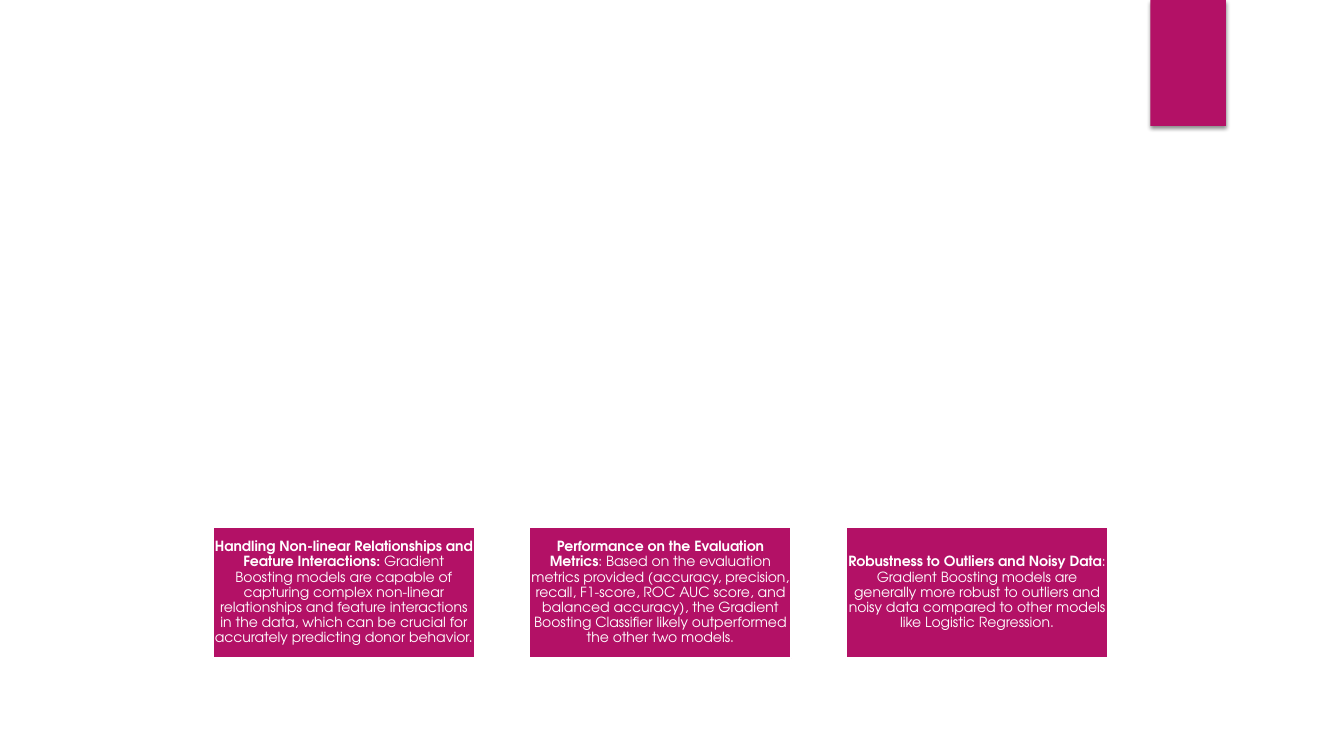
import pptx
import pptx.dml.color
import pptx.enum.shapes
import pptx.enum.text
import pptx.oxml
import pptx.oxml.ns
import pptx.util
from pptx.util import Inches, Pt

# Content: bold lead, then explanation
REASONS = [
    ("Handling Non-linear Relationships and Feature Interactions: ",
     "Gradient Boosting models are capable of capturing complex non-linear "
     "relationships and feature interactions in the data, which can be crucial "
     "for accurately predicting donor behavior."),
    ("Performance on the Evaluation Metrics",
     ": Based on the evaluation metrics provided (accuracy, precision, recall, "
     "F1-score, ROC AUC score, and balanced accuracy), the Gradient Boosting "
     "Classifier likely outperformed the other two models."),
    ("Robustness to Outliers and Noisy Data",
     ": Gradient Boosting models are generally more robust to outliers and noisy "
     "data compared to other models like Logistic Regression."),
]

THEME = {
    "accent": pptx.dml.color.RGBColor.from_string("B31166"),
    "light": pptx.dml.color.RGBColor.from_string("FFFFFF"),
    "font": "TeX Gyre Adventor",
    "size": Pt(10),
    "space_after": Pt(3.5),
    "outline": Pt(1.5),
}

# Layout in inches
ROW_LEFT, ROW_TOP = 2.11, 5.23
BOX_WIDTH, BOX_HEIGHT, BOX_GAP = 2.6, 1.3, 0.54
TAB = (11.41, 0, 0.75, 1.25)

FRAME_FORMAT = {
    "word_wrap": True,
    "vertical_anchor": pptx.enum.text.MSO_ANCHOR.MIDDLE,
    **{f"margin_{side}": Inches(0.01) for side in ("left", "top", "right", "bottom")},
}
PARA_FORMAT = {
    "alignment": pptx.enum.text.PP_ALIGN.CENTER,
    "line_spacing": 0.9,
    "space_after": THEME["space_after"],
}
FONT_FORMAT = {"name": THEME["font"], "size": THEME["size"]}

SHADOW_XML = (
    f'<a:effectLst {pptx.oxml.ns.nsdecls("a")}>'
    f'<a:outerShdw blurRad="{Pt(3)}" dist="{Pt(2)}" dir="5400000" rotWithShape="0">'
    '<a:srgbClr val="000000"><a:alpha val="45000"/></a:srgbClr>'
    '</a:outerShdw></a:effectLst>'
)


def apply_format(target, values):
    for name, value in values.items():
        setattr(target, name, value)


def add_block(page, left, top, width, height):
    block = page.shapes.add_shape(
        pptx.enum.shapes.MSO_SHAPE.RECTANGLE,
        Inches(left), Inches(top), Inches(width), Inches(height))
    block.shadow.inherit = False
    block.fill.solid()
    block.fill.fore_color.rgb = THEME["accent"]
    block.line.fill.background()
    return block


def add_corner_tab(page):
    tab = add_block(page, *TAB)
    properties = tab.element.spPr
    properties.remove(properties.find(pptx.oxml.ns.qn("a:effectLst")))
    properties.append(pptx.oxml.parse_xml(SHADOW_XML))


def add_reason(page, index, reason):
    left = ROW_LEFT + index * (BOX_WIDTH + BOX_GAP)
    box = add_block(page, left, ROW_TOP, BOX_WIDTH, BOX_HEIGHT)
    box.line.color.rgb = THEME["light"]
    box.line.width = THEME["outline"]
    apply_format(box.text_frame, FRAME_FORMAT)
    para = box.text_frame.paragraphs[0]
    apply_format(para, PARA_FORMAT)
    for text, bold in zip(reason, (True, False)):
        span = para.add_run()
        span.text = text
        apply_format(span.font, {**FONT_FORMAT, "bold": bold})
        span.font.color.rgb = THEME["light"]


def main():
    deck = pptx.Presentation()
    deck.slide_width, deck.slide_height = Inches(13.33), Inches(7.5)
    page = deck.slides.add_slide(deck.slide_layouts[6])

    # Corner accent
    add_corner_tab(page)

    # Row of reasons
    for index, reason in enumerate(REASONS):
        add_reason(page, index, reason)

    deck.save("out.pptx")


if __name__ == "__main__":
    main()
